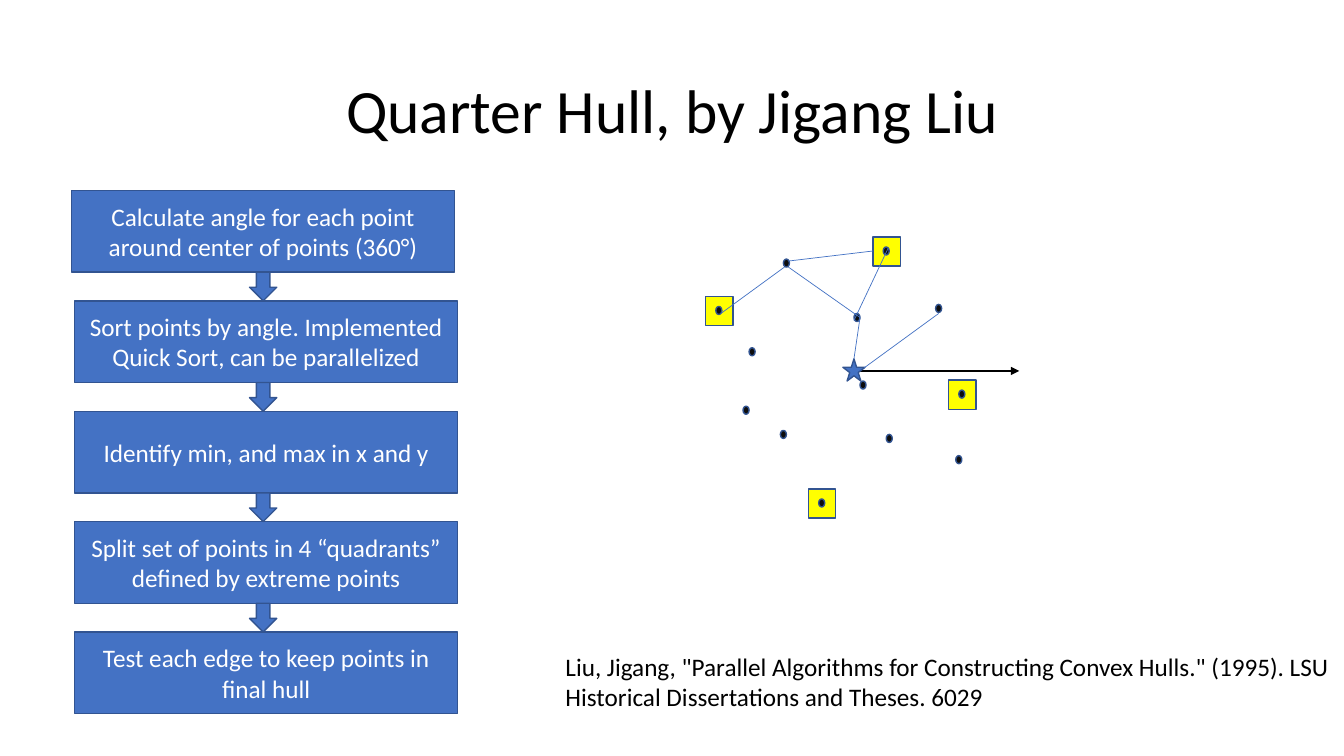
from lxml import etree
from pptx import Presentation
from pptx.dml.color import RGBColor
from pptx.enum.shapes import MSO_CONNECTOR as CONN, MSO_SHAPE as SHAPE
from pptx.enum.text import MSO_ANCHOR as ANCHOR, PP_ALIGN as ALIGN
from pptx.oxml.ns import qn
from pptx.util import Inches, Pt

BLACK = RGBColor(0x00, 0x00, 0x00)
WHITE = RGBColor(0xFF, 0xFF, 0xFF)
BLUE = RGBColor(0x44, 0x72, 0xC4)
EDGE = RGBColor(0x32, 0x54, 0x91)
YELLOW = RGBColor(0xFF, 0xFF, 0x00)
DOT = RGBColor(0x0D, 0x0D, 0x0D)
BODY = {"name": "Calibri", "size": Pt(18)}
HEADING = {"name": "Calibri", "size": Pt(44)}

STEPS = [
    "Calculate angle for each point around center of points (360°)",
    "Sort points by angle. Implemented Quick Sort, can be parallelized",
    "Identify min, and max in x and y",
    "Split set of points in 4 “quadrants” defined by extreme points",
    "Test each edge to keep points in final hull",
]
EXTREME_POINTS = [(1.76, 0.1), (0.1, 0.69), (2.51, 1.52), (1.12, 2.6)]
OTHER_POINTS = [(0.43, 1.1), (0.77, 0.22), (0.74, 1.92), (2.28, 0.67), (1.79, 1.96),
                (0.37, 1.68), (1.53, 1.43), (1.47, 0.76), (2.48, 2.17)]
SCAN_LINES = [(1.57, 1.3, 2.31, 0.76), (1.47, 1.21, 1.53, 0.8), (0.78, 0.3, 0.15, 0.76),
              (0.82, 0.3, 1.53, 0.8), (1.81, 0.11, 1.47, 0.83), (0.82, 0.24, 1.66, 0.14)]


def add_shape(s, kind, x, y, w, h, fill):
    """Add a flat filled shape with the common dark blue outline."""
    sp = s.shapes.add_shape(kind, Inches(x), Inches(y), Inches(w), Inches(h))
    sp.shadow.inherit = False
    sp.fill.solid()
    sp.fill.fore_color.rgb = fill
    sp.line.color.rgb = EDGE
    sp.line.width = Pt(1)
    return sp


def add_line(s, x1, y1, x2, y2, color, width):
    """Add a straight connector without a shadow and return its line element."""
    cn = s.shapes.add_connector(CONN.STRAIGHT, Inches(x1), Inches(y1), Inches(x2), Inches(y2))
    cn.line.color.rgb = color
    cn.line.width = Pt(width)
    sp_pr = cn.line._get_or_add_ln().getparent()
    etree.SubElement(sp_pr, qn("a:effectLst"))
    return sp_pr.find(qn("a:ln"))


def write(sp, text, font, color, align, anchor):
    """Fill a shape with one wrapped paragraph."""
    tf = sp.text_frame
    tf.word_wrap = True
    tf.vertical_anchor = anchor
    p = tf.paragraphs[0]
    p.alignment = align
    r = p.add_run()
    r.text = text
    r.font.color.rgb = color
    for key, value in font.items():
        setattr(r.font, key, value)
    return p


def add_text(s, x, y, w, h, text, font, align, anchor):
    """Add a black text box."""
    sp = s.shapes.add_textbox(Inches(x), Inches(y), Inches(w), Inches(h))
    return write(sp, text, font, BLACK, align, anchor)


def add_title(s, x, y, w, h):
    """Add the centred slide title."""
    p = add_text(s, x, y, w, h, "Quarter Hull, by Jigang Liu", HEADING,
                 ALIGN.CENTER, ANCHOR.MIDDLE)
    p.line_spacing = 0.9


def add_flow(s, x, y, w, h):
    """Add the column of steps joined by down arrows."""
    box_h, arrow_w, first_shift = 0.81, 0.27, 0.03
    pitch = (h - box_h) / (len(STEPS) - 1)
    for i, step in enumerate(STEPS):
        top = y + i * pitch
        left = x if i else x - first_shift
        sp = add_shape(s, SHAPE.RECTANGLE, left, top, w, box_h, BLUE)
        write(sp, step, BODY, WHITE, ALIGN.CENTER, ANCHOR.MIDDLE)
        if i:
            gap = pitch - box_h
            add_shape(s, SHAPE.DOWN_ARROW, x + (w - arrow_w) / 2 - first_shift, top - gap,
                      arrow_w, gap, BLUE)


def add_hull(s, x, y):
    """Add the point set, its extreme points and the angular scan."""
    axis = add_line(s, x + 1.47, y + 1.33, x + 3.11, y + 1.33, BLACK, 1.5)
    etree.SubElement(axis, qn("a:tailEnd"), type="triangle")
    for dx, dy in EXTREME_POINTS:
        add_shape(s, SHAPE.RECTANGLE, x + dx - 0.1, y + dy - 0.1, 0.27, 0.29, YELLOW)
    for dx, dy in OTHER_POINTS + EXTREME_POINTS:
        add_shape(s, SHAPE.OVAL, x + dx, y + dy, 0.06, 0.08, DOT)
    add_shape(s, SHAPE.STAR_5_POINT, x + 1.36, y + 1.21, 0.22, 0.22, BLUE)
    for x1, y1, x2, y2 in SCAN_LINES:
        add_line(s, x + x1, y + y1, x + x2, y + y2, BLUE, 0.5)


def add_citation(s, x, y, w, h):
    """Add the source reference."""
    add_text(s, x, y, w, h,
             'Liu, Jigang, "Parallel Algorithms for Constructing Convex Hulls." (1995). '
             "LSU Historical Dissertations and Theses. 6029", BODY, ALIGN.LEFT, ANCHOR.TOP)


def main():
    """Build and save the slide."""
    prs = Presentation()
    prs.slide_width, prs.slide_height = Inches(13.33), Inches(7.5)
    s = prs.slides.add_slide(prs.slide_layouts[6])
    add_title(s, 0.92, 0.4, 11.5, 1.45)
    add_flow(s, 0.74, 1.89, 3.8, 5.19)
    add_hull(s, 7, 2.35)
    add_citation(s, 5.51, 6.41, 7.78, 0.71)
    prs.save("out.pptx")


main()
